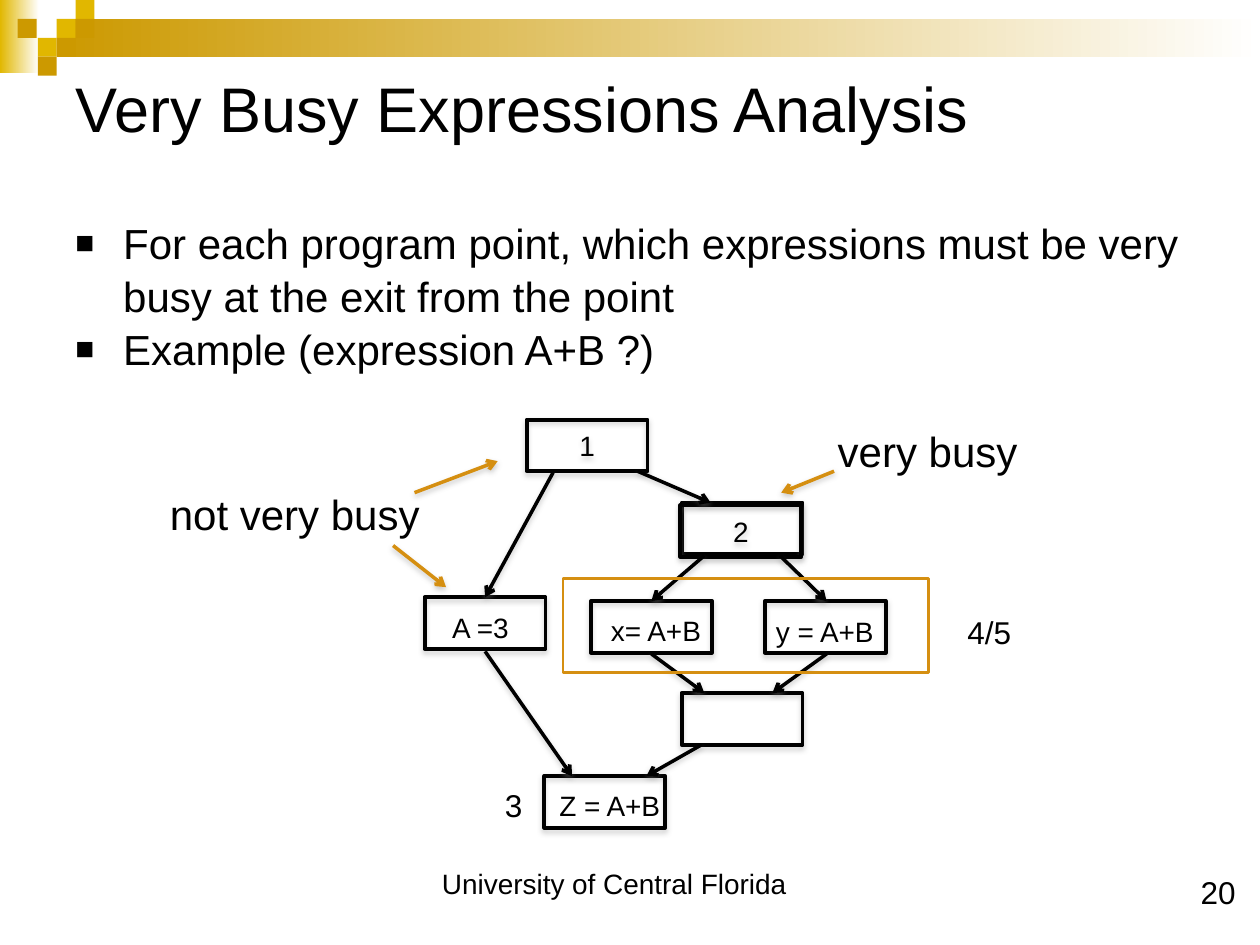
from lxml import etree
from pptx import Presentation
from pptx.dml.color import RGBColor
from pptx.enum.shapes import MSO_CONNECTOR, MSO_SHAPE
from pptx.enum.text import MSO_ANCHOR, MSO_AUTO_SIZE, PP_ALIGN
from pptx.oxml.ns import qn
from pptx.util import Inches, Pt

RECTANGLE = MSO_SHAPE.RECTANGLE
STRAIGHT = MSO_CONNECTOR.STRAIGHT
TOP, MIDDLE = MSO_ANCHOR.TOP, MSO_ANCHOR.MIDDLE
LEFT, CENTER = PP_ALIGN.LEFT, PP_ALIGN.CENTER
GROW = MSO_AUTO_SIZE.SHAPE_TO_FIT_TEXT

FONT = "Arial"
COLORS = {
    "ink": "000000",
    "paper": "FFFFFF",
    "yellow": "E1B700",
    "gold": "CC9900",
    "orange": "D58F11",
    "shadow": "808080",
}
NODE_SIZE = (0.96, 0.41)
TILE = 0.15


def color(name):
    return RGBColor.from_string(COLORS[name])


def place(left, top, width, height):
    return [Inches(value) for value in (left, top, width, height)]


def format_text(paragraph, size, align=LEFT):
    paragraph.alignment = align
    for run in paragraph.runs:
        run.font.name = FONT
        run.font.size = Pt(size)
        run.font.color.rgb = color("ink")


def add_soft_shadow(element, alpha, distance):
    properties = element.spPr
    for old in properties.findall(qn("a:effectLst")):
        properties.remove(old)
    effects = etree.SubElement(properties, qn("a:effectLst"))
    shadow = etree.SubElement(
        effects, qn("a:outerShdw"), blurRad=str(Pt(3.1)), dist=str(Pt(distance)),
        dir="5400000", rotWithShape="0")
    tint = etree.SubElement(shadow, qn("a:srgbClr"), val=COLORS["shadow"])
    etree.SubElement(tint, qn("a:alpha"), val=str(alpha * 1000))


def add_band(slide, box, start):
    band = slide.shapes.add_shape(RECTANGLE, *place(*box))
    band.shadow.inherit = False
    band.line.fill.background()
    band.fill.gradient()
    band.fill.gradient_angle = 0
    for stop, name in zip(band.fill.gradient_stops, (start, "paper")):
        stop.color.rgb = color(name)


def add_tile(slide, left, top, fill):
    tile = slide.shapes.add_shape(RECTANGLE, *place(left, top, TILE, TILE))
    tile.shadow.inherit = False
    tile.line.fill.background()
    tile.fill.solid()
    tile.fill.fore_color.rgb = color(fill)


def add_outline(slide, box, line, width):
    outline = slide.shapes.add_shape(RECTANGLE, *place(*box))
    outline.shadow.inherit = False
    outline.fill.background()
    outline.line.color.rgb = color(line)
    outline.line.width = Pt(width)
    return outline


def add_node(slide, left, top, number=""):
    node = add_outline(slide, (left, top, *NODE_SIZE), "ink", 2.25)
    add_soft_shadow(node._element, 35, 1.8)
    if number:
        node.text_frame.text = number
        node.text_frame.vertical_anchor = MIDDLE
        format_text(node.text_frame.paragraphs[0], 16, CENTER)


def add_arrow(slide, start, end, line):
    arrow = slide.shapes.add_connector(
        STRAIGHT, *[Inches(value) for value in (*start, *end)])
    arrow.line.color.rgb = color(line)
    arrow.line.width = Pt(2)
    etree.SubElement(arrow.line._get_or_add_ln(), qn("a:tailEnd"), type="arrow")
    add_soft_shadow(arrow._element, 38, 1.6)


def add_label(slide, text, box, size, align=LEFT, wrap=False):
    label = slide.shapes.add_textbox(*place(*box))
    frame = label.text_frame
    frame.word_wrap = wrap
    frame.auto_size = GROW
    frame.text = text
    format_text(frame.paragraphs[0], size, align)


def add_title(slide, text):
    title = slide.shapes.title
    title.left, title.top, title.width, title.height = place(0.5, 0.5, 8.08, 1.25)
    title.text_frame.text = text
    title.text_frame.vertical_anchor = TOP
    format_text(title.text_frame.paragraphs[0], 36)


def add_bullets(slide, points):
    frame = slide.shapes.add_textbox(*place(0.5, 1.66, 9, 5.22)).text_frame
    frame.word_wrap = True
    frame.text = "\n".join(points)
    for paragraph in frame.paragraphs:
        format_text(paragraph, 24)
        paragraph.line_spacing = 1.05
        properties = paragraph._p.get_or_add_pPr()
        properties.set("marL", str(Inches(0.38)))
        properties.set("indent", str(-Inches(0.38)))
        etree.SubElement(properties, qn("a:buSzPct"), val="75000")
        etree.SubElement(properties, qn("a:buFont"), typeface=FONT)
        etree.SubElement(properties, qn("a:buChar"), char="■")


def add_header(slide):
    add_band(slide, (0, 0, 0.31, 0.58), "yellow")
    add_band(slide, (0.45, 0.15, 9.55, 0.3), "gold")
    for left, top, fill in [
        (0.45, 0.15, "yellow"), (0.6, 0, "yellow"), (0.6, 0.15, "gold"),
        (0.3, 0.3, "yellow"), (0.14, 0.15, "gold"), (0.45, 0.3, "gold"),
        (0.3, 0.45, "gold"),
    ]:
        add_tile(slide, left, top, fill)


def add_flow_graph(slide):
    for left, top, number in [
        (4.18, 3.33, "1"), (5.41, 3.99, ""), (3.37, 4.74, ""), (4.69, 4.77, ""),
        (6.07, 4.77, ""), (5.41, 5.5, ""), (4.32, 6.16, ""), (5.4, 4.01, "2"),
    ]:
        add_node(slide, left, top, number)

    for text, left, top, width in [
        ("A =3", 3.49, 4.8, 0.72), ("x= A+B", 4.75, 4.82, 0.99),
        ("y = A+B", 6.06, 4.83, 1.06), ("Z = A+B", 4.34, 6.21, 1.08),
    ]:
        add_label(slide, text, (left, top, width, 0.37), 16)

    for start, end in [
        ((5.06, 3.74), (5.64, 3.99)), ((4.39, 3.75), (3.85, 4.74)),
        ((5.59, 4.41), (5.17, 4.77)), ((6.19, 4.41), (6.56, 4.77)),
        ((5.17, 5.19), (5.59, 5.5)), ((6.56, 5.19), (6.13, 5.5)),
        ((3.85, 5.17), (4.54, 6.16)), ((5.57, 5.91), (5.13, 6.16)),
    ]:
        add_arrow(slide, start, end, "ink")


def add_annotations(slide):
    add_label(slide, "not very busy", (1.25, 3.83, 2.2, 0.5), 24)
    add_label(slide, "very busy", (6.55, 3.33, 1.66, 0.5), 24)
    for start, end in [
        ((6.62, 3.74), (6.2, 3.91)), ((3.29, 3.91), (3.95, 3.66)),
        ((3.12, 4.33), (3.54, 4.66)),
    ]:
        add_arrow(slide, start, end, "orange")
    add_outline(slide, (4.47, 4.59, 2.9, 0.75), "orange", 1.5)
    add_label(slide, "3", (3.91, 6.19, 0.34, 0.4), 18)
    add_label(slide, "4/5", (7.58, 4.82, 0.55, 0.4), 18)


def main():
    deck = Presentation()
    deck.slide_width, deck.slide_height = Inches(10), Inches(7.5)
    slide = deck.slides.add_slide(deck.slide_layouts[5])
    add_header(slide)
    add_title(slide, "Very Busy Expressions Analysis")
    add_bullets(slide, [
        "For each program point, which expressions must be very busy at the exit from the point",
        "Example (expression A+B ?)",
    ])
    add_flow_graph(slide)
    add_annotations(slide)
    add_label(slide, "University of Central Florida", (0.5, 6.83, 8.75, 0.37), 16, CENTER, True)
    add_label(slide, "20", (9.43, 6.88, 0.48, 0.4), 18)
    deck.save("out.pptx")


if __name__ == "__main__":
    main()
